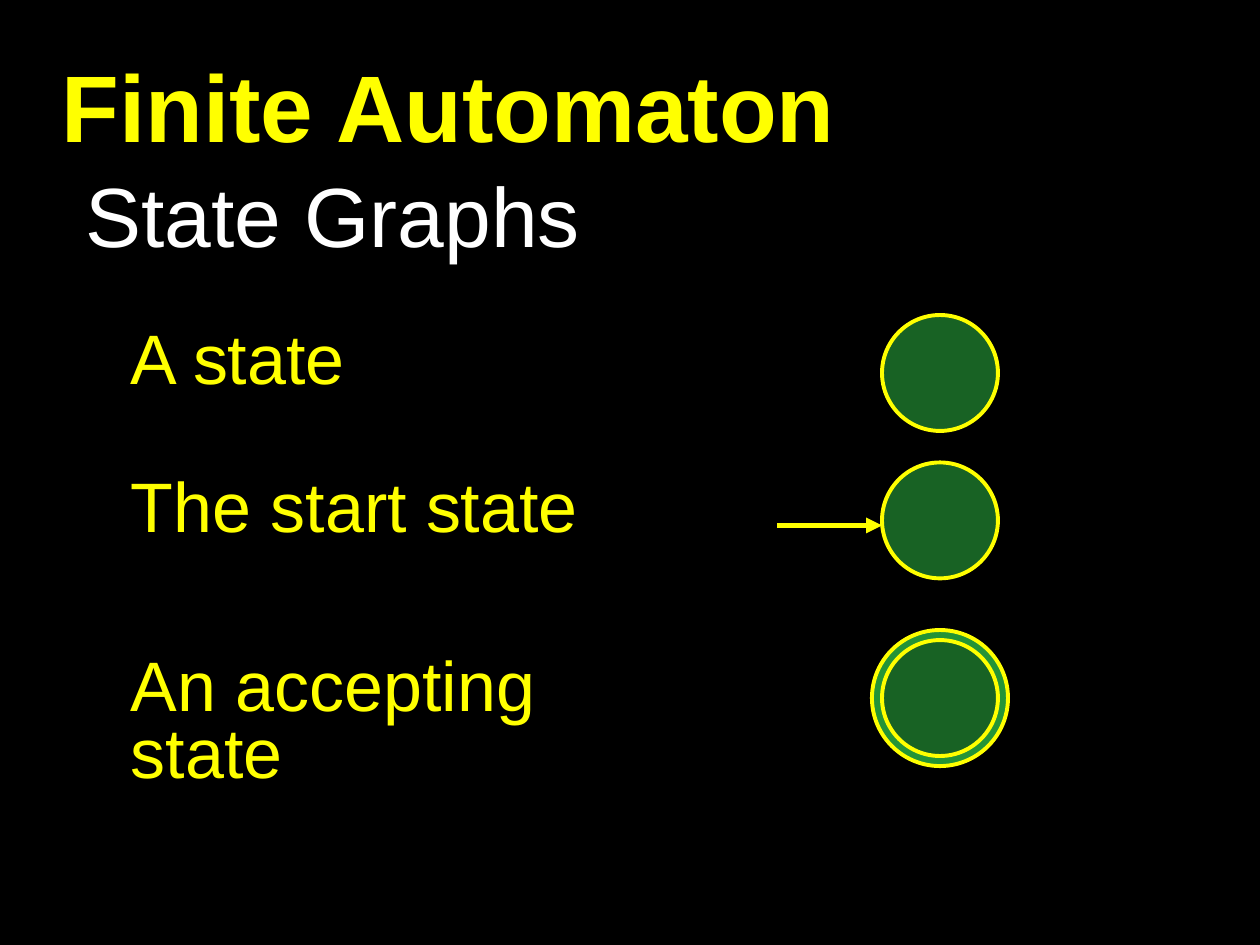
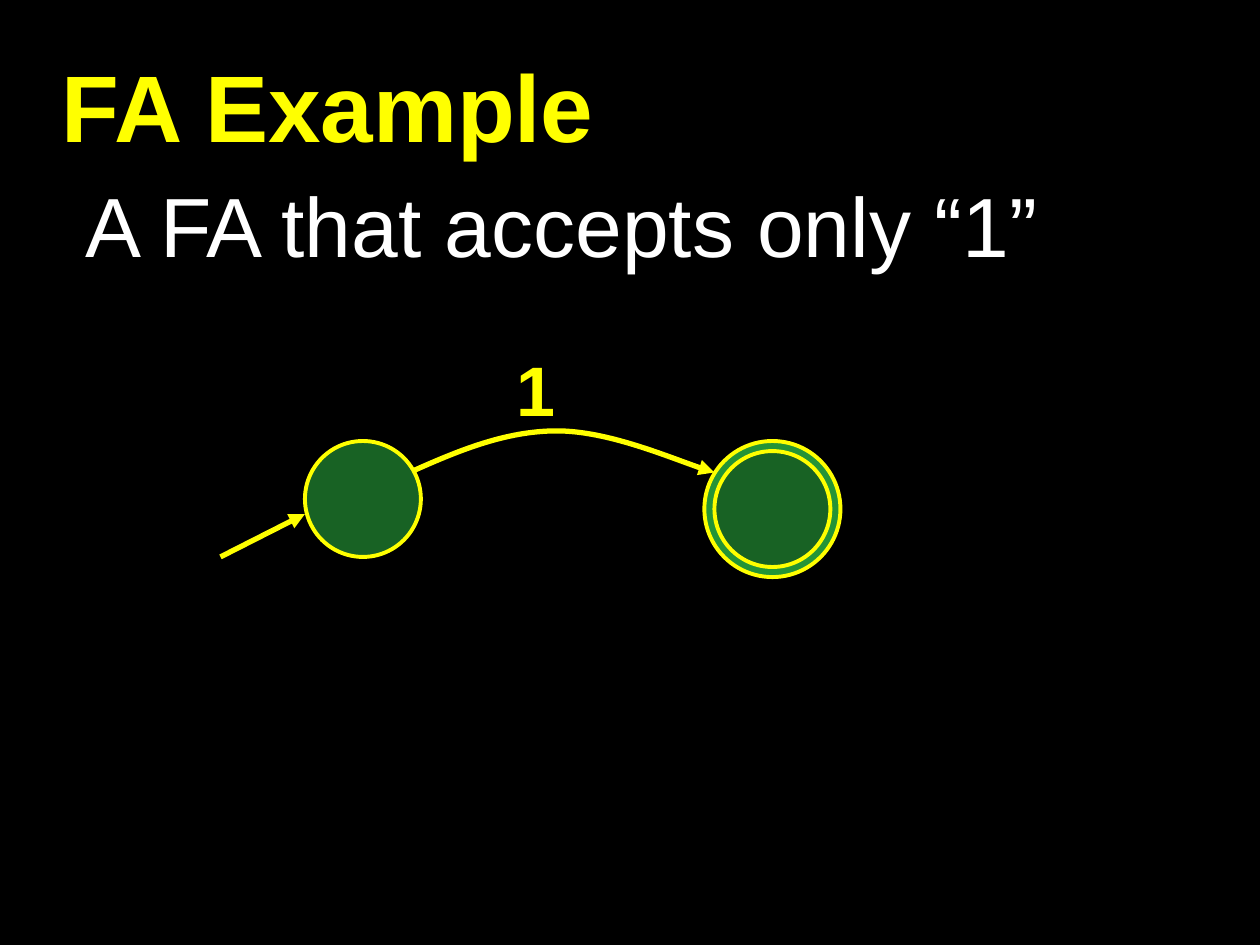
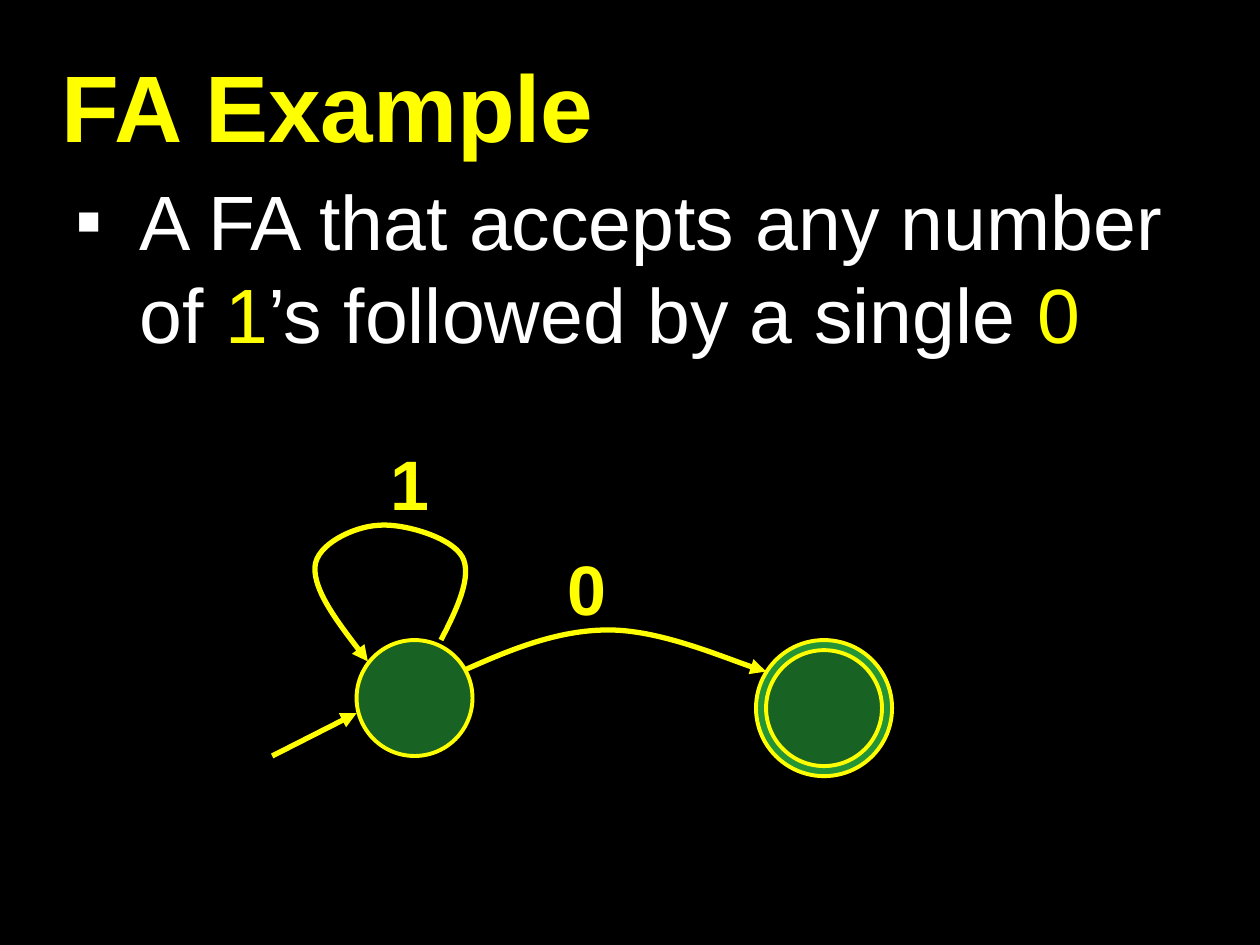
from lxml import etree
from pptx import Presentation
from pptx import util as u
from pptx.dml.color import RGBColor
from pptx.enum import shapes, text
from pptx.oxml.ns import qn

In = u.Inches
COLORS = {"back": "000000", "accent": "FFFF00", "body": "FFFFFF",
          "state": "186224", "ring": "249437"}
FONT = "Arial"
STATE, RING, RING_GAP = 0.92, 1.08, 0.08   # circle diameters and their offset


def rgb(name):
    return RGBColor.from_string(COLORS[name])


def sub(parent, tag, **attrs):
    return etree.SubElement(parent, qn(tag), attrs)


def add_text(p, content, size=40, color="accent", bold=False, shadow=False):
    """Add one formatted run to a paragraph."""
    r = p.add_run()
    r.text = content
    r.font.size, r.font.bold, r.font.name = u.Pt(size), bold, FONT
    r.font.color.rgb = rgb(color)
    if shadow:
        effects = etree.Element(qn("a:effectLst"))
        sp = sub(effects, "a:outerShdw", dist="38100", dir="2700000", algn="tl")
        sub(sp, "a:srgbClr", val="C0C0C0")
        r.font._element.find(qn("a:solidFill")).addnext(effects)


class Deck:
    def __init__(self):
        self.prs = Presentation()
        self.prs.slide_width, self.prs.slide_height = In(10), In(7.5)

    def new_slide(self, title):
        self.s = self.prs.slides.add_slide(self.prs.slide_layouts[6])
        fill = self.s.background.fill
        fill.solid()
        fill.fore_color.rgb = rgb("back")
        p = self.box(0.42, 0.42, 9.67, 0.83, inset=0.07,
                     anchor=text.MSO_ANCHOR.MIDDLE)
        add_text(p, title, size=54, bold=True, shadow=True)

    def box(self, x, y, w, h, inset=0.1, anchor=text.MSO_ANCHOR.TOP):
        """Place a text box and return its first paragraph."""
        tf = self.s.shapes.add_textbox(In(x), In(y), In(w), In(h)).text_frame
        tf.word_wrap = True
        tf.vertical_anchor = anchor
        tf.margin_left = tf.margin_right = In(inset)
        tf.margin_top = tf.margin_bottom = In(0.05)
        return tf.paragraphs[0]

    def body(self, x, y, w, h, runs, size=48, bullet=False):
        p = self.box(x, y, w, h)
        if bullet:
            pPr = p._p.get_or_add_pPr()
            pPr.set("marL", str(In(0.51)))
            pPr.set("indent", str(-In(0.51)))
            sub(sub(pPr, "a:buClr"), "a:srgbClr", val=COLORS["body"])
            sub(pPr, "a:buFont", typeface=FONT)
            sub(pPr, "a:buChar", char="▪")
        for content, color in runs:
            add_text(p, content, size=size, color=color)

    def label(self, content, x, y, w=0.73, h=0.64, bold=True):
        p = self.box(x, y, w, h)
        p.line_spacing = 0.8
        add_text(p, content, bold=bold)

    def circle(self, x, y, size, color):
        sp = self.s.shapes.add_shape(shapes.MSO_SHAPE.OVAL,
                                     In(x), In(y), In(size), In(size))
        sp.shadow.inherit = False
        sp.fill.solid()
        sp.fill.fore_color.rgb = rgb(color)
        sp.line.color.rgb = rgb("accent")
        sp.line.width = u.Pt(2.25)

    def state(self, x, y, accepting=False):
        if accepting:
            self.circle(x - RING_GAP, y - RING_GAP, RING, "ring")
        self.circle(x, y, STATE, "state")

    def arrow_line(self, sp):
        sp.line.color.rgb = rgb("accent")
        sp.line.width = u.Pt(3)
        sub(sp.line._get_or_add_ln(), "a:tailEnd", type="triangle")

    def arrow(self, x1, y1, x2, y2):
        sp = self.s.shapes.add_connector(shapes.MSO_CONNECTOR.STRAIGHT,
                                         In(x1), In(y1), In(x2), In(y2))
        self.arrow_line(sp)
        sub(sp._element.spPr, "a:effectLst")

    def curve(self, x, y, points):
        """Draw an arrow through Bezier points given relative to (x, y)."""
        start, *rest = [(In(x + dx), In(y + dy)) for dx, dy in points]
        builder = self.s.shapes.build_freeform(*start)
        builder.add_line_segments(rest, close=False)
        sp = builder.convert_to_shape()
        sp.shadow.inherit = False
        sp.fill.background()
        self.arrow_line(sp)
        # Every three points become one cubic segment
        outline = sp._element.find(".//" + qn("a:path"))
        lines = outline.findall(qn("a:lnTo"))
        for i in range(0, len(lines), 3):
            bezier = sub(outline, "a:cubicBezTo")
            for line in lines[i:i + 3]:
                bezier.append(line[0])
                outline.remove(line)

    def automaton(self, x, y, symbol):
        """Start state at (x, y) with one transition to an accepting state."""
        self.label(symbol, x + 1.58, y - 0.67)
        self.curve(x, y, [(0.83, 0.25), (1.21, 0.08), (1.59, -0.08), (2, -0.08),
                          (2.4, -0.08), (3.04, 0.19), (3.25, 0.25)])
        self.state(x, y)
        self.arrow(x - 0.67, y + 0.92, x, y + 0.58)
        self.state(x + 3.25, y + RING_GAP, accepting=True)


def main():
    d = Deck()

    # State graph symbols
    d.new_slide("Finite Automaton")
    d.body(0.58, 1.25, 9.75, 1, [("State Graphs", "body")])
    for name, y, w, h, state_y in [("A state", 2.58, 3.31, 0.64, 2.5),
                                   ("The start state", 3.75, 4.23, 0.64, 3.67),
                                   ("An accepting state", 5.17, 4.64, 1.17, 5.08)]:
        d.label(name, 0.94, y, w, h, bold=False)
        d.state(7, state_y, accepting="accepting" in name)
    d.arrow(6.17, 4.17, 7, 4.17)

    # Automaton for a single 1
    d.new_slide("FA Example")
    d.body(0.58, 1.33, 9.75, 1, [("A FA that accepts only “1”", "body")])
    d.automaton(2.42, 3.5, "1")

    # Automaton with a loop
    d.new_slide("FA Example")
    d.body(0.5, 1.33, 9.25, 2.33,
           [("A FA that accepts any number of ", "body"), ("1", "accent"),
            ("’s followed by a single ", "body"), ("0", "accent")],
           size=44, bullet=True)
    x, y = 2.83, 5.08
    d.automaton(x, y, "0")
    d.curve(x, y, [(0.67, 0), (0.8, -0.25), (0.92, -0.51), (0.84, -0.66),
                   (0.75, -0.82), (0.36, -0.93), (0.17, -0.91),
                   (-0.02, -0.9), (-0.32, -0.76), (-0.33, -0.58),
                   (-0.34, -0.4), (-0.13, -0.11), (0.09, 0.17)])
    d.label("1", 3, 3.58)

    d.prs.save("out.pptx")


if __name__ == "__main__":
    main()
